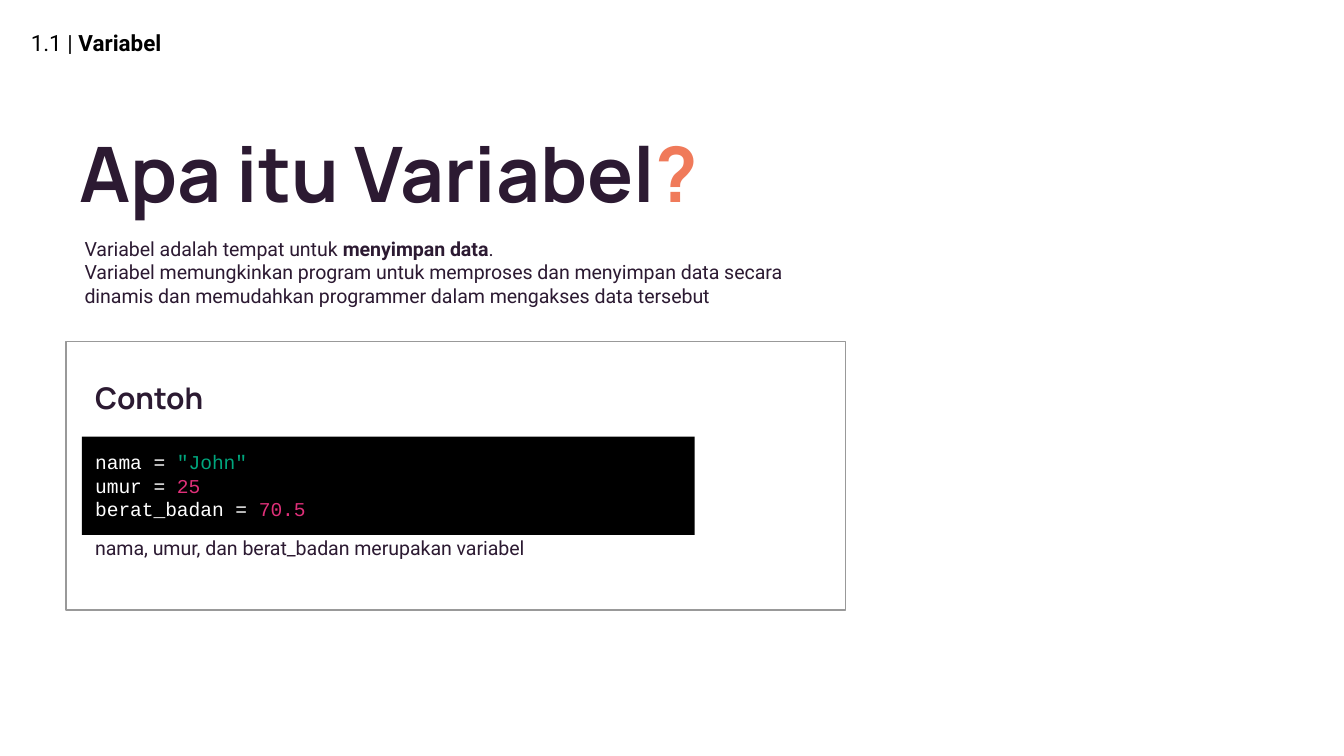
from pptx import Presentation
from pptx.dml.color import RGBColor
from pptx.enum.shapes import MSO_SHAPE
from pptx.enum.text import MSO_ANCHOR, PP_ALIGN
from pptx.util import Pt

RECTANGLE = MSO_SHAPE.RECTANGLE
TOP = MSO_ANCHOR.TOP
MIDDLE = MSO_ANCHOR.MIDDLE
LEFT = PP_ALIGN.LEFT
JUSTIFY = PP_ALIGN.JUSTIFY

BLACK = "000000"
WHITE = "FFFFFF"
PLUM = "2C1A32"
CORAL = "F07A5A"
GREY = "999999"
GREEN = "00A67D"
PINK = "DF3079"

HEADING_FONT = "Manrope"
BODY_FONT = "Roboto"
CODE_FONT = "Courier New"
BODY_SIZE = 10.5


def rgb(value):
    """Turn a hex string into a colour."""
    return RGBColor.from_string(value)


def write(shape, lines, font, size, anchor=TOP, align=LEFT, spacing=None):
    """Fill a shape with lines, each a list of (text, colour, bold) pieces."""
    frame = shape.text_frame
    frame.word_wrap = True
    frame.vertical_anchor = anchor
    frame.margin_left = frame.margin_right = Pt(7.2)
    frame.margin_top = frame.margin_bottom = Pt(7.2)
    for index, pieces in enumerate(lines):
        paragraph = frame.add_paragraph() if index else frame.paragraphs[0]
        paragraph.alignment = align
        if spacing:
            paragraph.line_spacing = spacing
        for text, colour, bold in pieces:
            run = paragraph.add_run()
            run.text = text
            run.font.name = font
            run.font.size = Pt(size)
            run.font.bold = bold
            run.font.color.rgb = rgb(colour)


def add_text(slide, left, top, width, height, lines, font, size, **layout):
    """Add a text box and write its lines."""
    box = slide.shapes.add_textbox(Pt(left), Pt(top), Pt(width), Pt(height))
    write(box, lines, font, size, **layout)


def add_panel(slide, left, top, width, height, fill=None, line=None):
    """Add a rectangle with an optional fill and outline."""
    panel = slide.shapes.add_shape(RECTANGLE, Pt(left), Pt(top), Pt(width), Pt(height))
    panel.shadow.inherit = False
    if fill:
        panel.fill.solid()
        panel.fill.fore_color.rgb = rgb(fill)
    else:
        panel.fill.background()
    if line:
        panel.line.color.rgb = rgb(line)
        panel.line.width = Pt(0.75)
    else:
        panel.line.fill.background()
    return panel


def add_section_label(slide, left, top, width, height):
    """Place the section number and name."""
    label = [("1.1 |", BLACK, False), (" Variabel", BLACK, True)]
    add_text(slide, left, top, width, height, [label], BODY_FONT, 12, anchor=MIDDLE)


def add_definition(slide, left, top, width, height):
    """Place the question and the definition below it."""
    question = [("Apa itu Variabel", PLUM, True), ("?", CORAL, True)]
    definition = [
        [("Variabel adalah tempat untuk", PLUM, False),
         (" menyimpan data", PLUM, True),
         (".", PLUM, False)],
        [("Variabel memungkinkan program untuk memproses dan menyimpan data secara "
          "dinamis dan memudahkan programmer dalam mengakses data tersebut", PLUM, False)],
    ]
    add_text(slide, left, top, width, 113, [question], HEADING_FONT, 41,
             anchor=MIDDLE, spacing=0.8)
    add_text(slide, left + 2.9, top + height - 52.6, 414.7, 52.6, definition,
             BODY_FONT, BODY_SIZE)


def add_example(slide, left, top, width, height):
    """Place the framed example with its heading, code and caption."""
    assignments = [
        ("nama", '"John"', GREEN),
        ("umur", "25", PINK),
        ("berat_badan", "70.5", PINK),
    ]
    code = [[(f"{name} = ", WHITE, False), (value, colour, False)]
            for name, value, colour in assignments]
    caption = [("nama, umur, dan berat_badan merupakan variabel", PLUM, False)]
    inner_left, inner_width = left + 8.6, 328.3
    add_panel(slide, left, top, width, height, line=GREY)
    code_panel = add_panel(slide, inner_left, top + 51.1, inner_width, 52.6, fill=BLACK)
    write(code_panel, code, CODE_FONT, BODY_SIZE, align=JUSTIFY)
    add_text(slide, inner_left, top + 12.2, inner_width, 38.9,
             [[("Contoh", PLUM, True)]], HEADING_FONT, 16, anchor=MIDDLE, spacing=0.8)
    add_text(slide, inner_left, top + 97.9, inner_width, 27.4, [caption],
             BODY_FONT, BODY_SIZE)


def main():
    """Build the slide and save it."""
    deck = Presentation()
    deck.slide_width, deck.slide_height = Pt(720), Pt(405)
    slide = deck.slides.add_slide(deck.slide_layouts[6])
    slide.background.fill.solid()
    slide.background.fill.fore_color.rgb = rgb(WHITE)
    add_section_label(slide, 9.4, 5, 253.4, 36)
    add_definition(slide, 35.3, 40.3, 547.2, 131.8)
    add_example(slide, 35.3, 182.9, 417.6, 144)
    deck.save("out.pptx")


if __name__ == "__main__":
    main()
